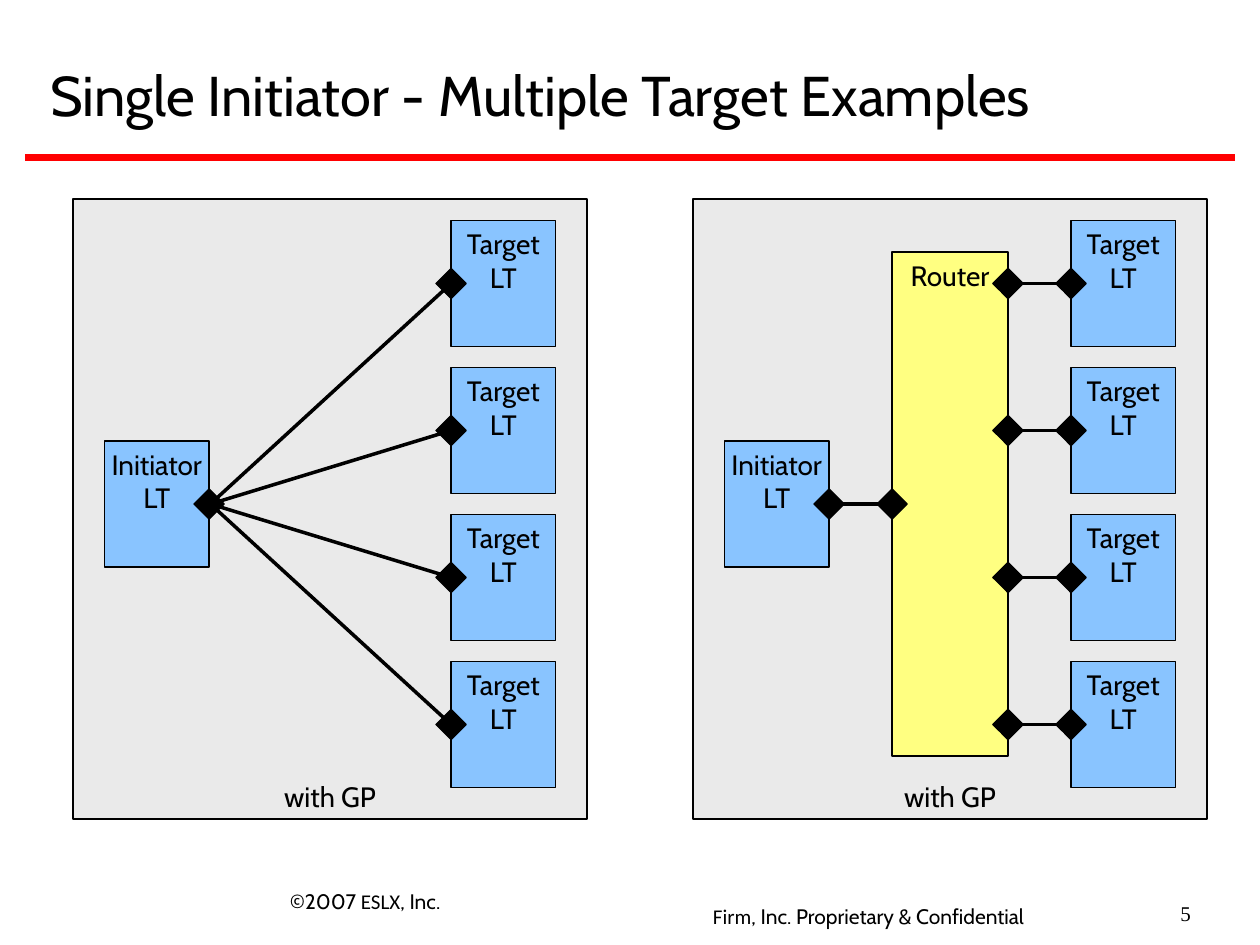
from dataclasses import dataclass

from lxml.etree import SubElement
from pptx import Presentation
from pptx.dml.color import RGBColor
from pptx.enum.shapes import MSO_CONNECTOR, MSO_SHAPE
from pptx.enum.text import MSO_ANCHOR as Anchor, PP_ALIGN as Align
from pptx.oxml.ns import qn
from pptx.util import Inches, Pt


@dataclass(frozen=True)
class Theme:
    black: str = "000000"
    rule: str = "FF0001"
    panel: str = "EAEAEA"
    block: str = "89C4FF"
    router: str = "FFFF81"
    font: str = "Cabin"
    company_font: str = "Calibri"
    number_font: str = "Times New Roman"
    title_size: float = 32
    label_size: float = 16
    footer_size: float = 12
    outline: float = 0.75
    link: float = 2
    rule_width: float = 3.5


THEME = Theme()
BLOCK_WIDTH, BLOCK_HEIGHT = 0.83, 1
SOCKET_SIZE = 0.17
TARGET_PITCH = 7 / 6
TARGET_TOPS = [1.75 + row * TARGET_PITCH for row in range(4)]
SOCKET_DROP = BLOCK_HEIGHT / 2
INITIATOR_TOP = 3.5
INITIATOR_Y = INITIATOR_TOP + SOCKET_DROP
PANEL_LEFTS = (0.58, 5.5)


def write(shape, paragraphs, size=THEME.label_size, align=Align.LEFT,
          anchor=Anchor.TOP, wrap=True, insets=(0.1, 0.05)):
    """Fill a shape with paragraphs, each a list of (text, font name) pairs."""
    frame = shape.text_frame
    frame.word_wrap = wrap
    frame.vertical_anchor = anchor
    frame.margin_left = frame.margin_right = Inches(insets[0])
    frame.margin_top = frame.margin_bottom = Inches(insets[1])
    for index, pieces in enumerate(paragraphs):
        para = frame.add_paragraph() if index else frame.paragraphs[0]
        para.alignment = align
        for text, font in pieces:
            span = para.add_run()
            span.text = text
            span.font.name = font
            span.font.size = Pt(size)
            span.font.color.rgb = RGBColor.from_string(THEME.black)


def add_text(page, left, top, width, height, pieces, **style):
    box = page.shapes.add_textbox(*map(Inches, (left, top, width, height)))
    write(box, [pieces], **style)


def add_box(shapes, left, top, width, height, fill, lines=(), anchor=Anchor.TOP):
    box = shapes.add_shape(MSO_SHAPE.RECTANGLE,
                           *map(Inches, (left, top, width, height)))
    box.shadow.inherit = False
    box.fill.solid()
    box.fill.fore_color.rgb = RGBColor.from_string(fill)
    box.line.color.rgb = RGBColor.from_string(THEME.black)
    box.line.width = Pt(THEME.outline)
    write(box, [[(line, THEME.font)] for line in lines],
          align=Align.CENTER, anchor=anchor, wrap=False)
    return box


def add_socket(shapes, x, y):
    """Place a diamond, a square turned on its corner, centred on a point."""
    half = SOCKET_SIZE / 2
    socket = add_box(shapes, x - half, y - half, SOCKET_SIZE, SOCKET_SIZE,
                     THEME.black)
    socket.rotation = 45


def add_line(page, start, end, color=THEME.black, width=THEME.link):
    line = page.shapes.add_connector(MSO_CONNECTOR.STRAIGHT,
                                     *map(Inches, (*start, *end)))
    line.line.color.rgb = RGBColor.from_string(color)
    line.line.width = Pt(width)
    SubElement(line._element.spPr, qn("a:effectLst"))


def add_block(page, name, left, top, socket_x):
    """Group a named block with the socket on one of its sides."""
    shapes = page.shapes.add_group_shape().shapes
    add_box(shapes, left, top, BLOCK_WIDTH, BLOCK_HEIGHT, THEME.block,
            (name, "LT"))
    add_socket(shapes, socket_x, top + SOCKET_DROP)


def add_panel(page, left):
    """Draw the panel, its initiator and its column of targets."""
    add_box(page.shapes, left, 1.58, 4.08, 4.92, THEME.panel, ("with GP",),
            anchor=Anchor.BOTTOM)
    initiator_left, target_left = left + 0.25, left + 3
    add_block(page, "Initiator", initiator_left, INITIATOR_TOP,
              initiator_left + BLOCK_WIDTH)
    for top in TARGET_TOPS:
        add_block(page, "Target", target_left, top, target_left)


def add_direct_links(page, left):
    for top in TARGET_TOPS:
        add_line(page, (left + 1.09, INITIATOR_Y), (left + 3, top + SOCKET_DROP))


def add_router(page, left):
    """Draw the router, its sockets and the links to both sides."""
    router_left, router_right = left + 1.58, left + 2.5
    add_box(page.shapes, router_left, 2, router_right - router_left, 4,
            THEME.router, ("Router",))
    add_socket(page.shapes, router_left, INITIATOR_Y)
    for top in TARGET_TOPS:
        y = top + SOCKET_DROP
        add_socket(page.shapes, router_right, y)
        add_line(page, (router_right + 0.08, y), (left + 2.92, y))
    add_line(page, (left + 1.17, INITIATOR_Y), (left + 1.5, INITIATOR_Y))


def add_footer(page):
    add_text(page, 2.3, 7.05, 1.61, 0.2,
             [("©2007 ", THEME.font), ("ESLX", THEME.company_font),
              (", Inc.", THEME.font)],
             size=THEME.footer_size, insets=(0, 0))
    add_text(page, 5.56, 7.12, 3.91, 0.3,
             [("Firm", THEME.company_font),
              (", Inc. Proprietary & Confidential", THEME.font)],
             size=THEME.footer_size)
    add_text(page, 9, 7.1, 0.55, 0.25, [("5", THEME.number_font)],
             size=THEME.footer_size, align=Align.RIGHT)


def main():
    deck = Presentation()
    deck.slide_width, deck.slide_height = Inches(10), Inches(7.5)
    page = deck.slides.add_slide(deck.slide_layouts[6])
    add_line(page, (0.2, 1.25), (9.8, 1.25), THEME.rule, THEME.rule_width)
    add_text(page, 0.3, 0.45, 9.4, 0.6,
             [("Single Initiator - Multiple Target Examples", THEME.font)],
             size=THEME.title_size, anchor=Anchor.MIDDLE)
    for left, add_links in zip(PANEL_LEFTS, (add_direct_links, add_router)):
        add_panel(page, left)
        add_links(page, left)
    add_footer(page)
    deck.save("out.pptx")


if __name__ == "__main__":
    main()
